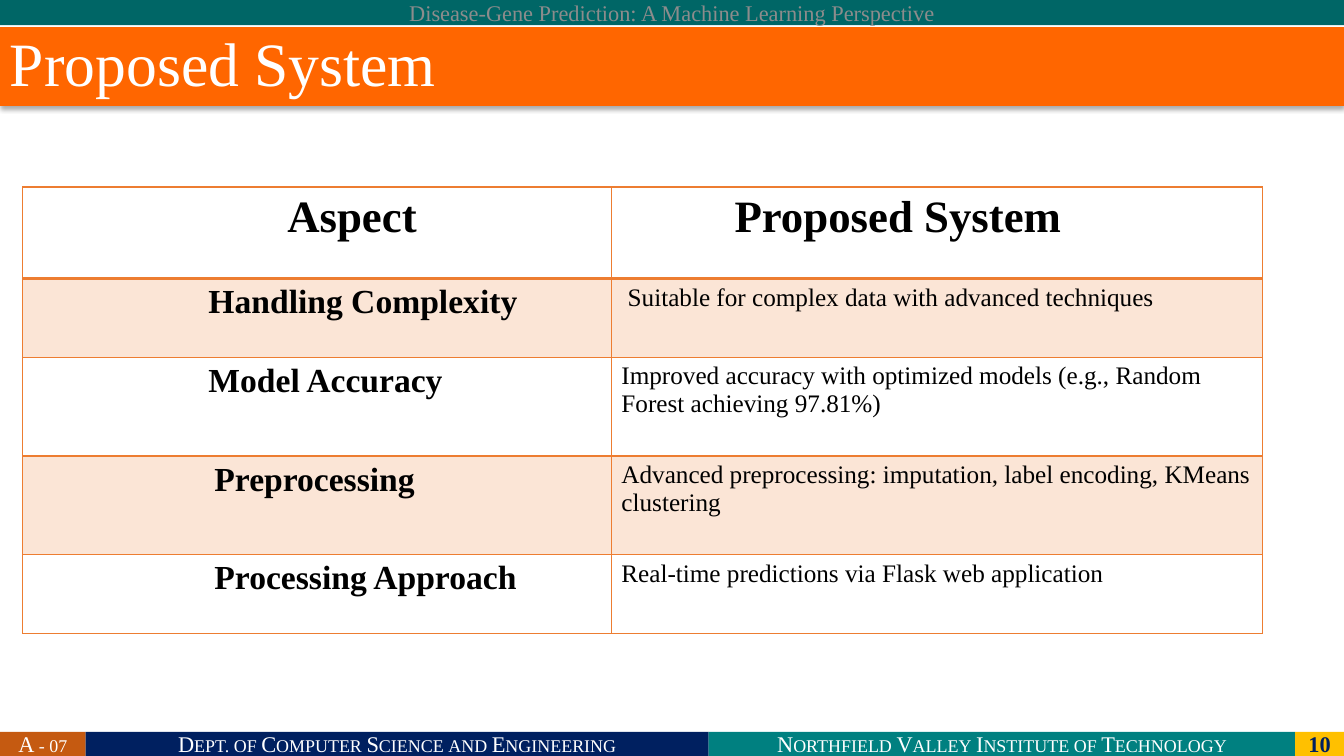
"""Build the slide that compares aspects of the proposed system."""
from lxml.etree import SubElement as Sub
from pptx import Presentation
from pptx.dml.color import RGBColor as Rgb
from pptx.enum.shapes import MSO_SHAPE as Kind
from pptx.enum.text import MSO_ANCHOR as Anchor, PP_ALIGN as Align
from pptx.oxml.ns import qn
from pptx.util import Pt

HUES = {
    "white": "FFFFFF", "black": "000000", "navy": "002060", "teal": "008080",
    "gold": "FFC000", "pine": "006666", "grey": "8C8C8C", "rust": "C55A11",
    "title": "FF6600", "line": "ED7D31", "band": "FBE5D6",
}
WIDE, HIGH = 960, 540
FOOT = 522.72
COLS = [420.5, 465.1]
ROWS = [65.5, 56.2, 70.5, 70.5, 56.2]
CELLS = [
    [("Aspect", 189), ("Proposed System", 88)],
    [("Handling Complexity", 132.7),
     ("Suitable for complex data with advanced techniques", 11.7)],
    [("Model Accuracy", 132.7),
     ("Improved accuracy with optimized models "
      "(e.g., Random Forest achieving 97.81%)", 7.2)],
    [("Preprocessing", 137),
     ("Advanced preprocessing: imputation, label encoding, KMeans clustering", 7.2)],
    [("Processing Approach", 137),
     ("Real-time predictions via Flask web application", 7.2)],
]


def hue(name):
    """Return the named colour."""
    return Rgb.from_string(HUES[name])


def write(frame, text, size=16, color="white", bold=False, small=False,
          align=Align.CENTER, space=None):
    """Put one formatted paragraph in a text frame."""
    frame.word_wrap = True
    para = frame.paragraphs[0]
    para.alignment = align
    para.line_spacing = space
    run = para.add_run()
    run.text = text
    font = run.font
    font.name, font.size, font.bold = "Times New Roman", Pt(size), bold
    font.color.rgb = hue(color)
    if small:
        run._r.get_or_add_rPr().set("cap", "small")


def bar(slide, left, top, width, height, fill, text, **form):
    """Add a filled strip with text."""
    shape = slide.shapes.add_shape(
        Kind.RECTANGLE, Pt(left), Pt(top), Pt(width), Pt(height))
    shape.shadow.inherit = False
    shape.fill.solid()
    shape.fill.fore_color.rgb = hue(fill)
    shape.line.fill.background()
    shape.text_frame.vertical_anchor = Anchor.MIDDLE
    write(shape.text_frame, text, **form)
    return shape


def shade(shape):
    """Cast a soft shadow below a shape."""
    fx = shape._element.spPr.find(qn("a:effectLst"))
    drop = Sub(fx, qn("a:outerShdw"), blurRad=str(Pt(3.5)), dist=str(Pt(2.2)),
               dir="5400000", algn="t", rotWithShape="0")
    tint = Sub(drop, qn("a:srgbClr"), val=HUES["black"])
    Sub(tint, qn("a:alpha"), val="32000")


def edge(cell, side, width):
    """Draw one border of a cell."""
    line = Sub(cell._tc.get_or_add_tcPr(), qn("a:ln" + side), w=str(Pt(width)))
    Sub(Sub(line, qn("a:solidFill")), qn("a:srgbClr"), val=HUES["line"])


def grid(slide):
    """Add the table of aspects."""
    table = slide.shapes.add_table(
        len(ROWS), len(COLS), Pt(16.2), Pt(133.6),
        Pt(sum(COLS)), Pt(sum(ROWS))).table
    table.horz_banding = table.first_row = False
    for col, width in zip(table.columns, COLS):
        col.width = Pt(width)
    for i, (row, height) in enumerate(zip(table.rows, ROWS)):
        row.height = Pt(height)
        for j, (text, inset) in enumerate(CELLS[i]):
            cell = table.cell(i, j)
            for side in "LRTB":
                thick = (i, side) in ((0, "B"), (1, "T"))
                edge(cell, side, 2 if thick else 1)
            cell.fill.solid()
            cell.fill.fore_color.rgb = hue("band" if i % 2 else "white")
            cell.margin_left = Pt(inset)
            size = 32 if i == 0 else 18 if j else 24
            write(cell.text_frame, text, size=size, color="black",
                  bold=i == 0 or j == 0, align=Align.LEFT)


def main():
    """Build and save the slide."""
    deck = Presentation()
    deck.slide_width, deck.slide_height = Pt(WIDE), Pt(HIGH)
    slide = deck.slides.add_slide(deck.slide_layouts[6])
    feet = [
        (61.2, "rust", "A - 07", {"small": True}),
        (445, "navy", "Dept. of Computer Science and Engineering", {"small": True}),
        (419, "teal", "Northfield Valley Institute of Technology", {"small": True}),
        (34.8, "gold", "10", {"color": "navy", "bold": True}),
    ]
    left = 0
    for width, fill, text, form in feet:
        bar(slide, left, FOOT, width, HIGH - FOOT, fill, text, **form)
        left += width
    bar(slide, 0, 0, WIDE, 18, "pine",
        "Disease-Gene Prediction: A Machine Learning Perspective", color="grey")
    title = bar(slide, 0, 19.4, WIDE, 56.2, "title", "Proposed System",
                size=44, align=Align.LEFT, space=0.9)
    shade(title)
    grid(slide)
    deck.save("out.pptx")


if __name__ == "__main__":
    main()
